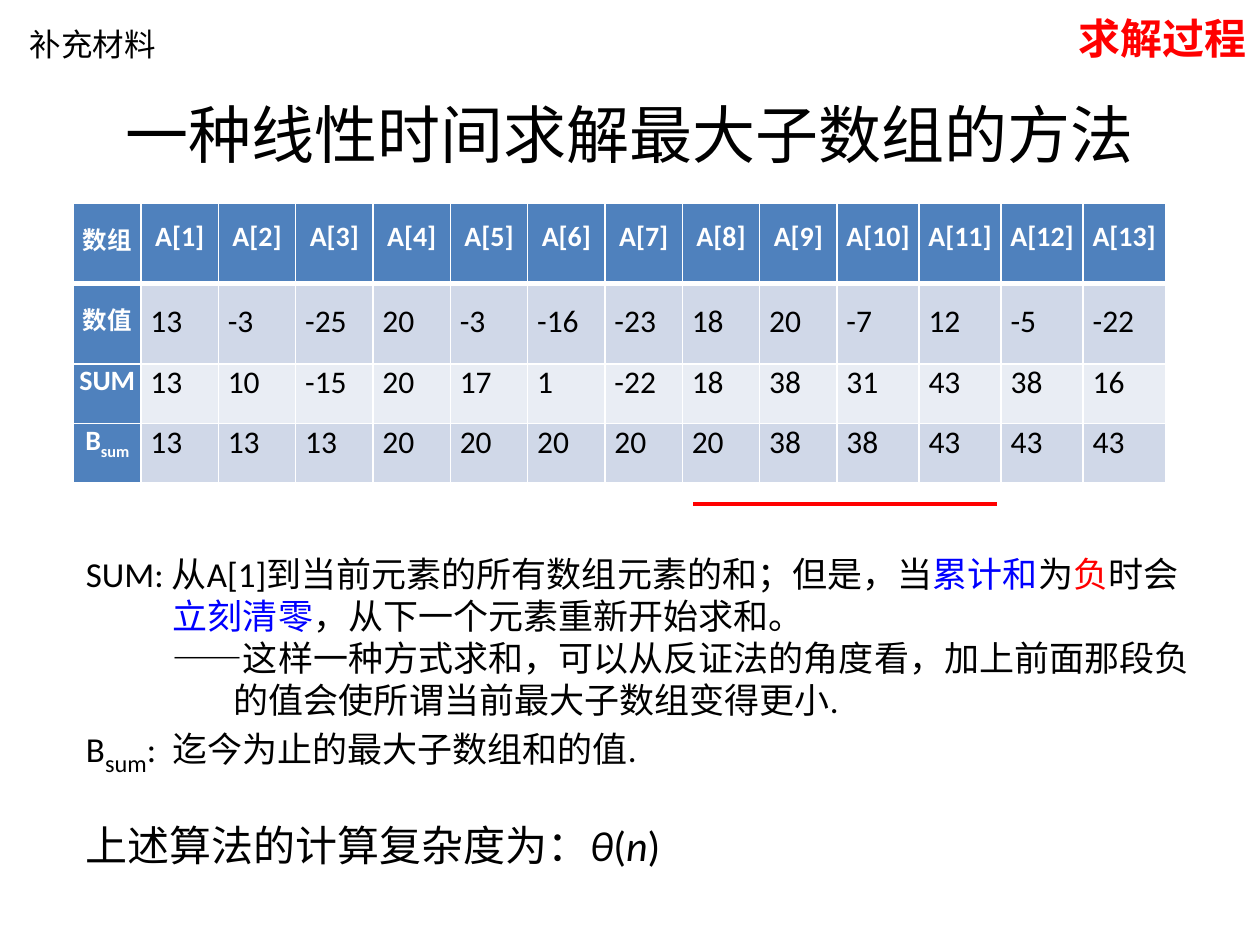
from dataclasses import dataclass
from typing import Any

from lxml.etree import SubElement
from pptx import Presentation
from pptx.dml.color import RGBColor as Rgb
from pptx.enum.shapes import MSO_CONNECTOR as Connector
from pptx.enum.text import MSO_ANCHOR as Anchor, PP_ALIGN as Align
from pptx.oxml import parse_xml
from pptx.oxml.ns import nsdecls, qn
from pptx.util import Pt

COLORS = {
    "black": "000000", "white": "FFFFFF", "red": "FF0000", "blue": "0000FF",
    "header": "4F81BD", "band": "D0D8E8", "pale": "E9EDF4",
}
VALUES = [13, -3, -25, 20, -3, -16, -23, 18, 20, -7, 12, -5, -22]
SUMS = [13, 10, -15, 20, 17, 1, -22, 18, 38, 31, 43, 38, 16]
BEST = [13, 13, 13, 20, 20, 20, 20, 20, 38, 38, 43, 43, 43]
COLUMN_WIDTHS = [38.6] + [44.2] * 9 + [46.9] * 4
ROW_HEIGHTS = [46, 46, 34, 34]


@dataclass
class SlideWriter:
    """Draw styled elements on the current page, measured in points."""

    page: Any
    font: str = "Calibri"

    def span(self, para, text, size, color="black", bold=False, italic=False, sub=False):
        run = para.add_run()
        run.text = text
        run.font.name = self.font
        run.font.size = Pt(size)
        run.font.bold = bold
        run.font.italic = italic
        run.font.color.rgb = Rgb.from_string(COLORS[color])
        if sub:
            run.font._element.set("baseline", "-25000")

    def text(self, box, paras, align=Align.LEFT, anchor=Anchor.TOP, wrap=True):
        frame = self.page.shapes.add_textbox(*map(Pt, box)).text_frame
        frame.word_wrap = wrap
        frame.vertical_anchor = anchor
        for index, (indent, before, spans) in enumerate(paras):
            para = frame.paragraphs[0] if index == 0 else frame.add_paragraph()
            para.alignment = align
            para.space_before = Pt(before)
            if indent:
                para._p.get_or_add_pPr().set("marL", str(Pt(indent)))
            for text, size, style in spans:
                self.span(para, text, size, **style)

    def line(self, start, end, color, width):
        line = self.page.shapes.add_connector(Connector.STRAIGHT, *map(Pt, start + end))
        line.line.color.rgb = Rgb.from_string(COLORS[color])
        line.line.width = Pt(width)
        SubElement(line._element.spPr, qn("a:effectLst"))

    def border(self, cell, sides):
        properties = cell._tc.get_or_add_tcPr()
        for index, (side, width) in enumerate(sides.items()):
            properties.insert(index, parse_xml(
                f'<a:ln{side} {nsdecls("a")} w="{Pt(width)}"><a:solidFill>'
                f'<a:srgbClr val="{COLORS["white"]}"/></a:solidFill></a:ln{side}>'))

    def cell(self, cell, spans, fill, align, margin, line_spacing, gap):
        cell.margin_left = cell.margin_right = Pt(margin)
        cell.margin_top = cell.margin_bottom = 0
        cell.fill.solid()
        cell.fill.fore_color.rgb = Rgb.from_string(COLORS[fill])
        para = cell.text_frame.paragraphs[0]
        para.alignment = align
        para.line_spacing = line_spacing
        para.space_before = para.space_after = Pt(gap)
        for text, size, style in spans:
            self.span(para, text, size, **style)

    def table(self, left, top, widths, heights, rows, fills):
        table = self.page.shapes.add_table(
            len(rows), len(widths), Pt(left), Pt(top),
            Pt(sum(widths)), Pt(sum(heights))).table
        table.first_row = table.horz_banding = False
        for column, width in zip(table.columns, widths):
            column.width = Pt(width)
        for row, height in zip(table.rows, heights):
            row.height = Pt(height)
        for i, row in enumerate(rows):
            line_spacing, gap = (1.5, 0) if i < 2 else (1, 6)
            for j, spans in enumerate(row):
                heading = i == 0 or j == 0
                cell = table.cell(i, j)
                self.cell(cell, spans, "header" if heading else fills[i],
                          Align.CENTER if heading else Align.JUSTIFY,
                          0 if heading else 5.4, line_spacing, gap)
                self.border(cell, {"L": 1, "R": 1, "T": 3 if i == 1 else 1,
                                   "B": 3 if i == 0 else 1})


def main():
    deck = Presentation()
    deck.slide_width, deck.slide_height = Pt(720), Pt(540)
    writer = SlideWriter(deck.slides.add_slide(deck.slide_layouts[6]))
    head = {"color": "white", "bold": True}
    blue, red, italic, sub = {"color": "blue"}, {"color": "red"}, {"italic": True}, {"sub": True}

    writer.text((54, 18, 612, 116), [(0, 0, [("一种线性时间求解最大子数组的方法", 36, {})])],
                Align.CENTER, Anchor.MIDDLE)
    writer.text((10, 10.8, 87, 29), [(0, 0, [("补充材料", 18, {})])], wrap=False)

    labels = [[("数值", 14, head)], [("SUM", 16, head)],
              [("B", 16, head), ("sum", 16, head | sub)]]
    rows = [[[("数组", 14, head)]] + [[(f"A[{n}]", 16, head)] for n in range(1, 14)]]
    for label, numbers in zip(labels, (VALUES, SUMS, BEST)):
        rows.append([label] + [[(str(number), 18, {})] for number in numbers])
    writer.table(42, 116, COLUMN_WIDTHS, ROW_HEIGHTS, rows,
                 ["header", "band", "pale", "band"])

    writer.text((608, 3.6, 111.5, 36),
                [(0, 0, [("求解过程", 24, {"color": "red", "bold": True})])],
                Align.RIGHT, wrap=False)
    writer.line((396, 288), (570, 288), "red", 1.75)

    writer.text((42, 312, 646.5, 181), [
        (0, 0, [("SUM: 从A[1]到当前元素的所有数组元素的和；但是，当", 20, {}),
                ("累计和", 20, blue), ("为", 20, {}), ("负", 20, red), ("时会", 20, {})]),
        (49.7, 0, [("立刻清零", 20, blue), ("，从下一个元素重新开始求和。", 20, {})]),
        (49.7, 0, [("——这样一种方式求和，可以从反证法的角度看，加上前面那段负", 20, {})]),
        (84.5, 0, [("的值会使所谓当前最大子数组变得更小.", 20, {})]),
        (0, 0, [("B", 20, {}), ("sum", 24, sub), (":  迄今为止的最大子数组和的值.", 20, {})]),
        (0, 24, [("上述算法的计算复杂度为：", 24, {}), ("θ", 24, italic), ("(", 24, {}),
                 ("n", 24, italic), (")", 24, {})]),
    ])
    deck.save("out.pptx")


if __name__ == "__main__":
    main()
